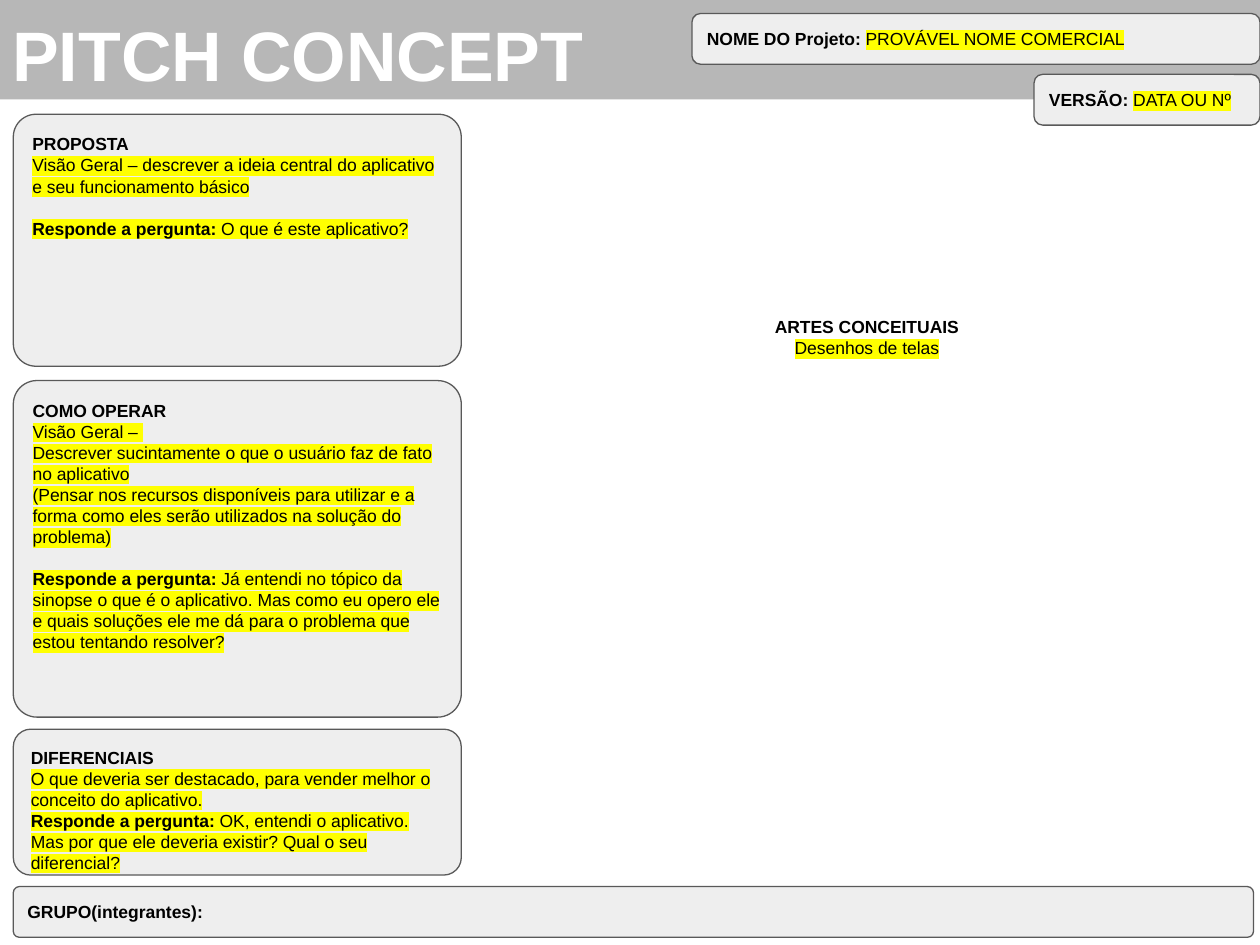
import pptx
import pptx.dml.color
import pptx.enum.shapes
import pptx.enum.text
import pptx.util
from dataclasses import dataclass
from lxml import etree

Pt = pptx.util.Pt
RGB = pptx.dml.color.RGBColor.from_string
SHAPES = pptx.enum.shapes.MSO_SHAPE
ANCHOR = pptx.enum.text.MSO_ANCHOR
ALIGN = pptx.enum.text.PP_ALIGN
DRAWING_NS = "http://schemas.openxmlformats.org/drawingml/2006/main"


@dataclass(frozen=True)
class Theme:
    """Colours, font and type sizes of the slide."""
    band: str = "B7B7B7"
    panel: str = "EEEEEE"
    outline: str = "595959"
    marker: str = "FFFF00"
    ink: str = "000000"
    title_ink: str = "FFFFFF"
    font: str = "Arial"
    title_size: float = 40
    body_size: float = 10
    outline_width: float = 0.75
    inset: float = 7.2
    blank_line: float = 12


THEME = Theme()


def label(text):
    """Bold text without marker."""
    return text, True, False


def hint(text, bold=False):
    """Text with the yellow marker."""
    return text, bold, True


QUESTION = hint("Responde a pergunta:", True)


def apply(target, formats):
    """Set each attribute of a format dict."""
    for attribute, setting in formats.items():
        setattr(target, attribute, setting)


def mark(run):
    """Put the marker colour behind a run."""
    properties = run.font.fill._xPr
    highlight = etree.Element(f"{{{DRAWING_NS}}}highlight")
    etree.SubElement(highlight, f"{{{DRAWING_NS}}}srgbClr", val=THEME.marker)
    properties.find(f"{{{DRAWING_NS}}}solidFill").addnext(highlight)


def write(frame, lines, size=THEME.body_size, ink=THEME.ink,
          align=ALIGN.LEFT, anchor=ANCHOR.TOP, gap_before=None):
    """Fill a frame; gap_before is the index of a line set one line lower."""
    inset = Pt(THEME.inset)
    apply(frame, {"word_wrap": True, "vertical_anchor": anchor,
                  "margin_left": inset, "margin_right": inset,
                  "margin_top": inset, "margin_bottom": inset})
    for index, pieces in enumerate(lines):
        paragraph = frame.add_paragraph() if index else frame.paragraphs[0]
        gap = THEME.blank_line if index == gap_before else 0
        apply(paragraph, {"alignment": align, "space_before": Pt(gap)})
        for text, bold, marked in pieces:
            run = paragraph.add_run()
            run.text = text
            apply(run.font, {"size": Pt(size), "bold": bold, "name": THEME.font})
            run.font.color.rgb = RGB(ink)
            if marked:
                mark(run)


def add_block(slide, kind, box, fill):
    """Add a filled shape without shadow."""
    block = slide.shapes.add_shape(kind, *map(Pt, box))
    block.shadow.inherit = False
    block.fill.solid()
    block.fill.fore_color.rgb = RGB(fill)
    return block


def add_title_band(slide, title):
    """Add the grey band with the slide title."""
    band = add_block(slide, SHAPES.RECTANGLE, (0, -0.7, 720, 57.6), THEME.band)
    band.line.fill.background()
    write(band.text_frame, [[label(title)]], THEME.title_size, THEME.title_ink)


def add_panel(slide, box, rounding, lines, **text_options):
    """Add an outlined rounded panel with text."""
    panel = add_block(slide, SHAPES.ROUNDED_RECTANGLE, box, THEME.panel)
    panel.adjustments[0] = rounding
    panel.line.color.rgb = RGB(THEME.outline)
    panel.line.width = Pt(THEME.outline_width)
    write(panel.text_frame, lines, **text_options)


def add_caption(slide, box, lines):
    """Add a centred text box."""
    caption = slide.shapes.add_textbox(*map(Pt, box))
    write(caption.text_frame, lines, align=ALIGN.CENTER)


def add_header_and_footer(slide):
    """Add the name, version and group bars."""
    height = 29
    add_panel(slide, (395.4, 7.7, 324.6, height), 0.17,
              [[label("NOME DO Projeto: "), hint("PROVÁVEL NOME COMERCIAL")]],
              anchor=ANCHOR.MIDDLE)
    add_panel(slide, (590.9, 42.5, 129.1, height), 0.17,
              [[label("VERSÃO: "), hint("DATA OU Nº")]])
    add_panel(slide, (7.6, 506.6, 708.7, height), 0.12,
              [[label("GRUPO(integrantes):")]])


def add_concept_cards(slide):
    """Add the left column of concept cards."""
    proposal = [
        [label("PROPOSTA")],
        [hint("Visão Geral – descrever a ideia central do aplicativo "
              "e seu funcionamento básico")],
        [QUESTION, hint(" O que é este aplicativo?")],
    ]
    operation = [
        [label("COMO OPERAR")],
        [hint("Visão Geral – ")],
        [hint("Descrever sucintamente o que o usuário faz de fato no aplicativo")],
        [hint("(Pensar nos recursos disponíveis para utilizar e a forma como "
              "eles serão utilizados na solução do problema)")],
        [QUESTION, hint(" Já entendi no tópico da sinopse o que é o aplicativo. "
                        "Mas como eu opero ele e quais soluções ele me dá para o "
                        "problema que estou tentando resolver?")],
    ]
    strengths = [
        [label("DIFERENCIAIS")],
        [hint("O que deveria ser destacado, para vender melhor o conceito "
              "do aplicativo.")],
        [QUESTION, hint(" OK, entendi o aplicativo. Mas por que ele deveria "
                        "existir? Qual o seu diferencial?")],
    ]
    cards = [
        (65.3, 144, 0.09, proposal, 2),
        (217.5, 192.3, 0.07, operation, 4),
        (416.7, 83.4, 0.12, strengths, None),
    ]
    for top, height, rounding, lines, gap_before in cards:
        add_panel(slide, (7.6, top, 256, height), rounding, lines,
                  gap_before=gap_before)


def main():
    """Build and save the slide."""
    deck = pptx.Presentation()
    apply(deck, {"slide_width": Pt(720), "slide_height": Pt(540)})
    slide = deck.slides.add_slide(deck.slide_layouts[6])
    add_title_band(slide, "PITCH CONCEPT")
    add_header_and_footer(slide)
    add_concept_cards(slide)
    add_caption(slide, (377.2, 173.5, 236.2, 236.2),
                [[label("ARTES CONCEITUAIS")], [hint("Desenhos de telas")]])
    deck.save("out.pptx")


main()
